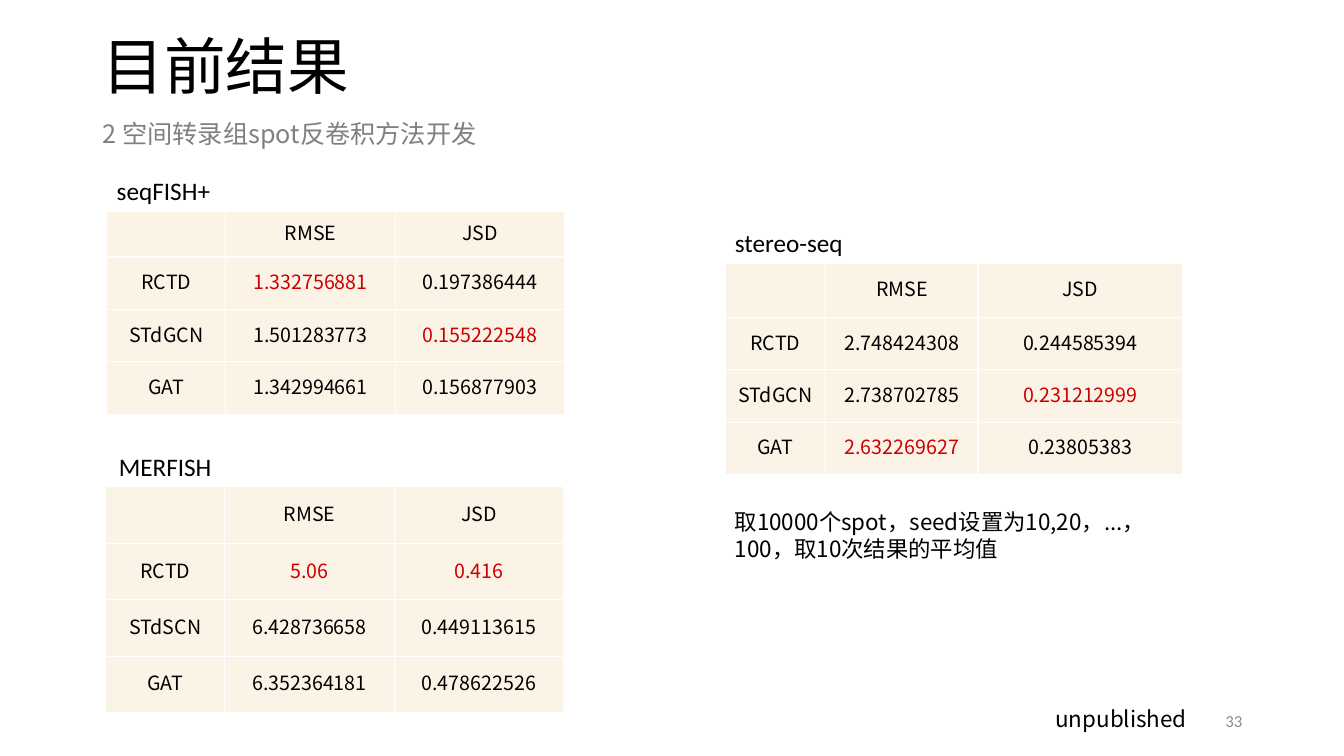
"""Build the slide comparing spot deconvolution results on three data sets."""
from dataclasses import dataclass

from lxml import etree
from pptx import Presentation
from pptx.dml.color import RGBColor
from pptx.enum import text
from pptx.oxml import ns
from pptx import util as u


@dataclass(frozen=True)
class Theme:
    """Colours, fonts and type sizes of the slide."""
    ink: str = "000000"
    best: str = "CC0000"
    muted: str = "808080"
    number: str = "8C8C8C"
    cell: str = "FCF3E7"
    grid: str = "FFFFFF"
    latin: str = "Calibri"
    cjk: str = "Noto Sans CJK SC"
    title: int = 44
    label: int = 18
    body: int = 16
    value: int = 14
    small: int = 12


class ResultSlide:
    """Hold the theme and the current slide, and add elements to it."""

    def __init__(self, deck, theme):
        """Open a blank slide."""
        self.theme = theme
        self.slide = deck.slides.add_slide(deck.slide_layouts[6])

    def styled_run(self, paragraph, wording, size, font, colour, **layout):
        """Put one styled run into a paragraph."""
        for key, value in layout.items():
            setattr(paragraph, key, value)
        run = paragraph.add_run()
        run.text = wording
        for key, value in {"size": u.Pt(size), "name": font}.items():
            setattr(run.font, key, value)
        run.font.color.rgb = RGBColor.from_string(colour)
        east_asian = etree.SubElement(run._r.get_or_add_rPr(), ns.qn("a:ea"))
        east_asian.set("typeface", self.theme.cjk)

    def text(self, place, wording, size, font, colour, frame=None, **layout):
        """Add a text box."""
        box = self.slide.shapes.add_textbox(*map(u.Inches, place)).text_frame
        for key, value in ({"word_wrap": True} | (frame or {})).items():
            setattr(box, key, value)
        self.styled_run(box.paragraphs[0], wording, size, font, colour, **layout)

    def label(self, place, wording):
        """Add the name of a data set."""
        frame = {"word_wrap": False, "auto_size": text.MSO_AUTO_SIZE.SHAPE_TO_FIT_TEXT}
        self.text(place, wording, self.theme.label, self.theme.latin, self.theme.ink, frame)

    def cell(self, cell, wording, colour):
        """Style and fill one table cell."""
        edge = u.Inches(0.01)
        layout = {"margin_left": edge, "margin_right": edge, "margin_top": edge,
                  "margin_bottom": u.Inches(0.05),
                  "vertical_anchor": text.MSO_ANCHOR.MIDDLE}
        for key, value in layout.items():
            setattr(cell, key, value)
        properties = cell._tc.get_or_add_tcPr()
        for side in ("lnL", "lnR", "lnT", "lnB"):
            line = etree.SubElement(properties, ns.qn(f"a:{side}"), w=str(u.Pt(1)))
            paint = etree.SubElement(line, ns.qn("a:solidFill"))
            etree.SubElement(paint, ns.qn("a:srgbClr"), val=self.theme.grid)
        cell.fill.solid()
        cell.fill.fore_color.rgb = RGBColor.from_string(self.theme.cell)
        if wording:
            self.styled_run(cell.text_frame.paragraphs[0], wording, self.theme.value,
                            self.theme.cjk, colour, alignment=text.PP_ALIGN.CENTER)

    def table(self, left, top, widths, heights, scores):
        """Add a score table with the lowest value of each column in red."""
        best = [min(column, key=float) for column in list(zip(*scores))[1:]]
        rows = [("", "RMSE", "JSD"), *scores]
        place = (left, top, sum(widths), sum(heights))
        table = self.slide.shapes.add_table(
            len(rows), len(widths), *map(u.Inches, place)).table
        for flag in ("first_row", "horz_banding"):
            setattr(table, flag, False)
        for column, width in zip(table.columns, widths):
            column.width = u.Inches(width)
        for row, height, wordings in zip(table.rows, heights, rows):
            row.height = u.Inches(height)
            for cell, wording in zip(row.cells, wordings):
                self.cell(cell, wording,
                          self.theme.best if wording in best else self.theme.ink)


def main():
    """Compose and save the slide."""
    deck = Presentation()
    deck.slide_width, deck.slide_height = u.Inches(13.33), u.Inches(7.5)
    theme = Theme()
    page = ResultSlide(deck, theme)
    middle = {"vertical_anchor": text.MSO_ANCHOR.MIDDLE}
    bottom = {"vertical_anchor": text.MSO_ANCHOR.BOTTOM}
    grow = {"auto_size": text.MSO_AUTO_SIZE.SHAPE_TO_FIT_TEXT}

    page.text((0.92, 0.28, 10.96, 0.81), "目前结果", theme.title, theme.latin,
              theme.ink, middle, line_spacing=0.9)
    page.text((0.92, 1.09, 10.96, 0.43), "2 空间转录组spot反卷积方法开发", theme.label,
              theme.cjk, theme.muted, bottom, line_spacing=1.5)

    narrow, wide = (1.18, 1.68, 1.68), (1, 1.51, 2.03)
    page.label((1.06, 1.69, 1.37, 0.4), "seqFISH+")
    page.table(1.06, 2.1, narrow, [0.45] + [0.52] * 3, [
        ("RCTD", "1.332756881", "0.197386444"),
        ("STdGCN", "1.501283773", "0.155222548"),
        ("GAT", "1.342994661", "0.156877903")])
    page.label((1.08, 4.43, 1.36, 0.4), "MERFISH")
    page.table(1.05, 4.83, narrow, [0.56] * 4, [
        ("RCTD", "5.06", "0.416"),
        ("STdSCN", "6.428736658", "0.449113615"),
        ("GAT", "6.352364181", "0.478622526")])
    page.label((7.19, 2.21, 1.5, 0.4), "stereo-seq")
    page.table(7.19, 2.61, wide, [0.54] + [0.52] * 3, [
        ("RCTD", "2.748424308", "0.244585394"),
        ("STdGCN", "2.738702785", "0.231212999"),
        ("GAT", "2.632269627", "0.23805383")])

    page.text((7.19, 4.99, 4.54, 0.64),
              "取10000个spot，seed设置为10,20，...，100，取10次结果的平均值",
              theme.body, theme.cjk, theme.ink, grow)
    page.text((10.37, 6.95, 1.64, 0.37), "unpublished", theme.body, theme.cjk,
              theme.ink, grow)
    page.text((9.42, 6.95, 3, 0.4), "33", theme.small, theme.latin, theme.number,
              middle, alignment=text.PP_ALIGN.RIGHT)
    deck.save("out.pptx")


if __name__ == "__main__":
    main()
